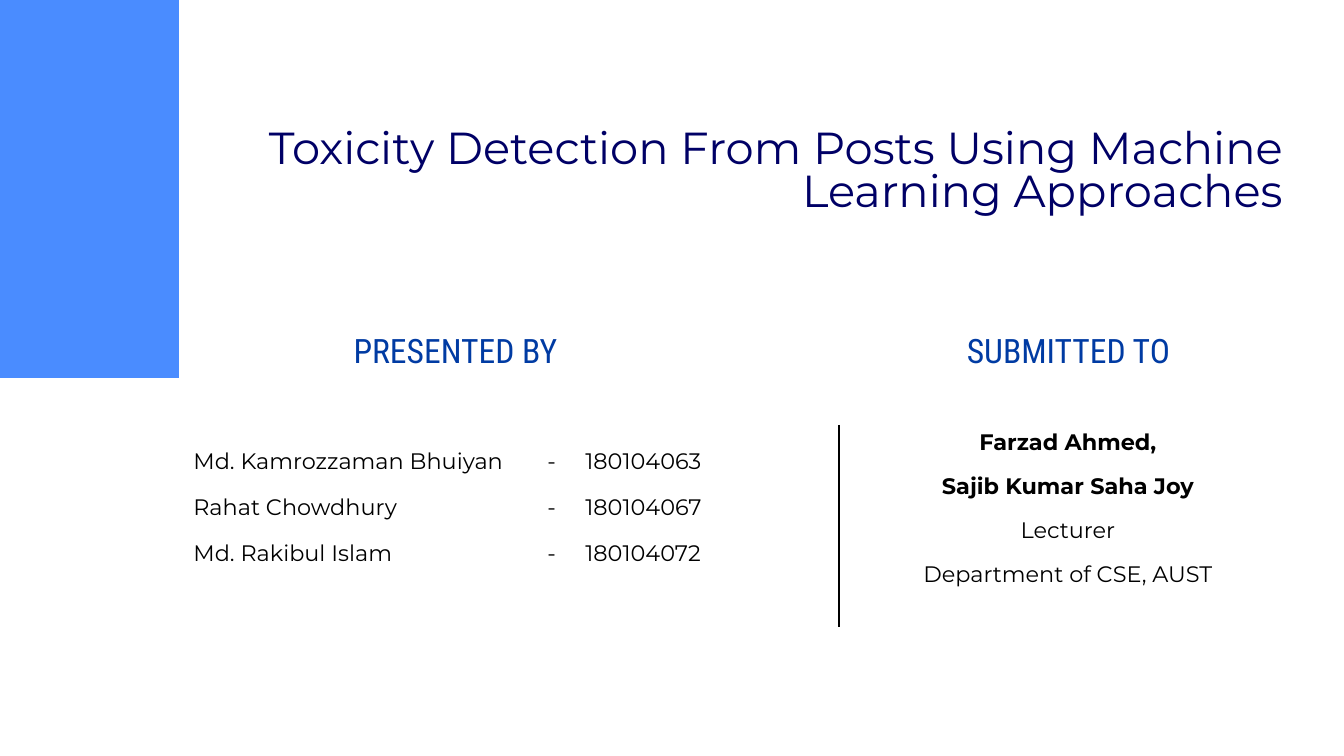
"""Build the title slide of a thesis talk with its authors and supervisors."""
from lxml import etree
from pptx import Presentation
from pptx import util as u
from pptx.dml.color import RGBColor
from pptx.enum import shapes, text
from pptx.oxml.ns import qn

SCALE = 914400 / 134.4
BODY, HEAD = "Montserrat", "Roboto Condensed"
BLACK, NAVY, BLUE, SKY = "000000", "000066", "003BA3", "4A8CFF"
ALIGN = text.PP_ALIGN

TITLE = "Toxicity Detection From Posts Using Machine Learning Approaches"
HEADS = [("PRESENTED BY", 313), ("SUBMITTED TO", 926)]
AUTHORS = [
    ("Md. Kamrozzaman Bhuiyan", "180104063"),
    ("Rahat Chowdhury", "180104067"),
    ("Md. Rakibul Islam", "180104072"),
]
STAFF = [
    ("Farzad Ahmed,", True),
    ("Sajib Kumar Saha Joy", True),
    ("Lecturer", False),
    ("Department of CSE, AUST", False),
]
COLS = [354, 38, 159]
ROWS = [45, 46, 46]


def px(*vals):
    return [u.Emu(round(v * SCALE)) for v in vals]


def rgb(code):
    return RGBColor.from_string(code)


def style(para, size, face, color, align, bold=False):
    font = para.font
    font.size, font.name, font.bold = u.Pt(size), face, bold
    font.color.rgb = rgb(color)
    para.alignment = align


def add_text(slide, box, lines, size, face, color):
    frame = slide.shapes.add_textbox(*px(*box)).text_frame
    frame.word_wrap = True
    frame.text = "\n".join(line for line, bold in lines)
    for para, (line, bold) in zip(frame.paragraphs, lines):
        style(para, size, face, color, ALIGN.CENTER, bold)
        para.line_spacing = 0.9
        para.space_before = u.Pt(10.5)


deck = Presentation()
deck.slide_width, deck.slide_height = px(1344, 756)
slide = deck.slides.add_slide(deck.slide_layouts[5])

title = slide.shapes.title
title.left, title.top, title.width, title.height = px(253, 87, 1043, 143)
frame = title.text_frame
frame.text = TITLE
frame.word_wrap = True
frame.auto_size = text.MSO_AUTO_SIZE.NONE
frame.vertical_anchor = text.MSO_ANCHOR.BOTTOM
frame.margin_left = frame.margin_right = u.Inches(0.1)
frame.margin_top = frame.margin_bottom = u.Inches(0.1)
style(frame.paragraphs[0], 24, BODY, NAVY, ALIGN.RIGHT)
frame.paragraphs[0].line_spacing = 0.8

block = slide.shapes.add_shape(shapes.MSO_SHAPE.RECTANGLE, *px(0, 0, 179, 378))
block.shadow.inherit = False
block.fill.solid()
block.fill.fore_color.rgb = rgb(SKY)
block.line.fill.background()

table = slide.shapes.add_table(
    len(ROWS), len(COLS), *px(180, 439, sum(COLS), sum(ROWS))).table
table.first_row = table.horz_banding = False
for col, width in zip(table.columns, px(*COLS)):
    col.width = width
for row, height, (name, code) in zip(table.rows, px(*ROWS), AUTHORS):
    row.height = height
    for cell, word in zip(row.cells, (name, "-", code)):
        cell.text = word
        cell.fill.background()
        cell.vertical_anchor = text.MSO_ANCHOR.MIDDLE
        align = ALIGN.JUSTIFY if word == code else ALIGN.LEFT
        style(cell.text_frame.paragraphs[0], 12, BODY, BLACK, align)

add_text(slide, (878, 425, 380, 173), STAFF, 12, BODY, BLACK)
for head, left in HEADS:
    add_text(slide, (left, 328, 285, 50), [(head, False)], 18, HEAD, BLUE)

rule = slide.shapes.add_connector(
    shapes.MSO_CONNECTOR.STRAIGHT, *px(839, 425, 839, 627))
rule.line.color.rgb = rgb(BLACK)
rule.line.width = u.Pt(0.75)
etree.SubElement(rule._element.spPr, qn("a:effectLst"))

deck.save("out.pptx")
